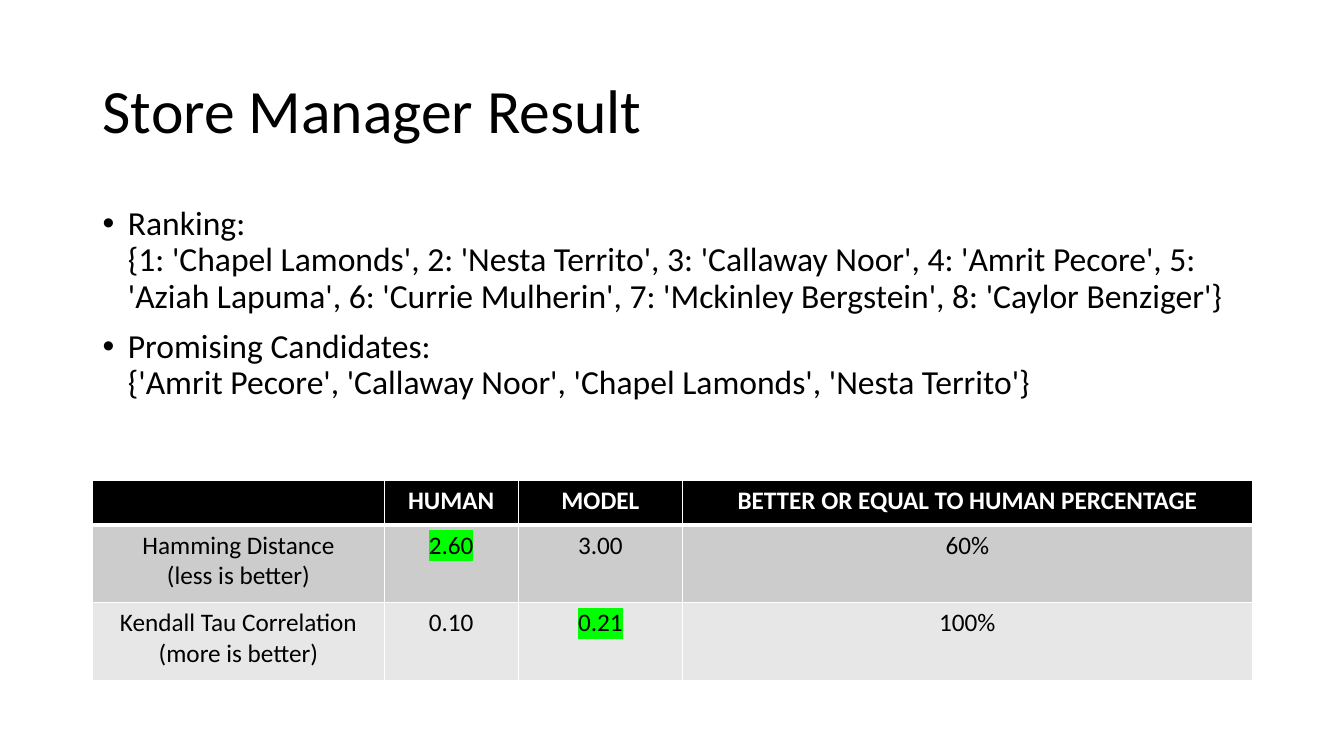
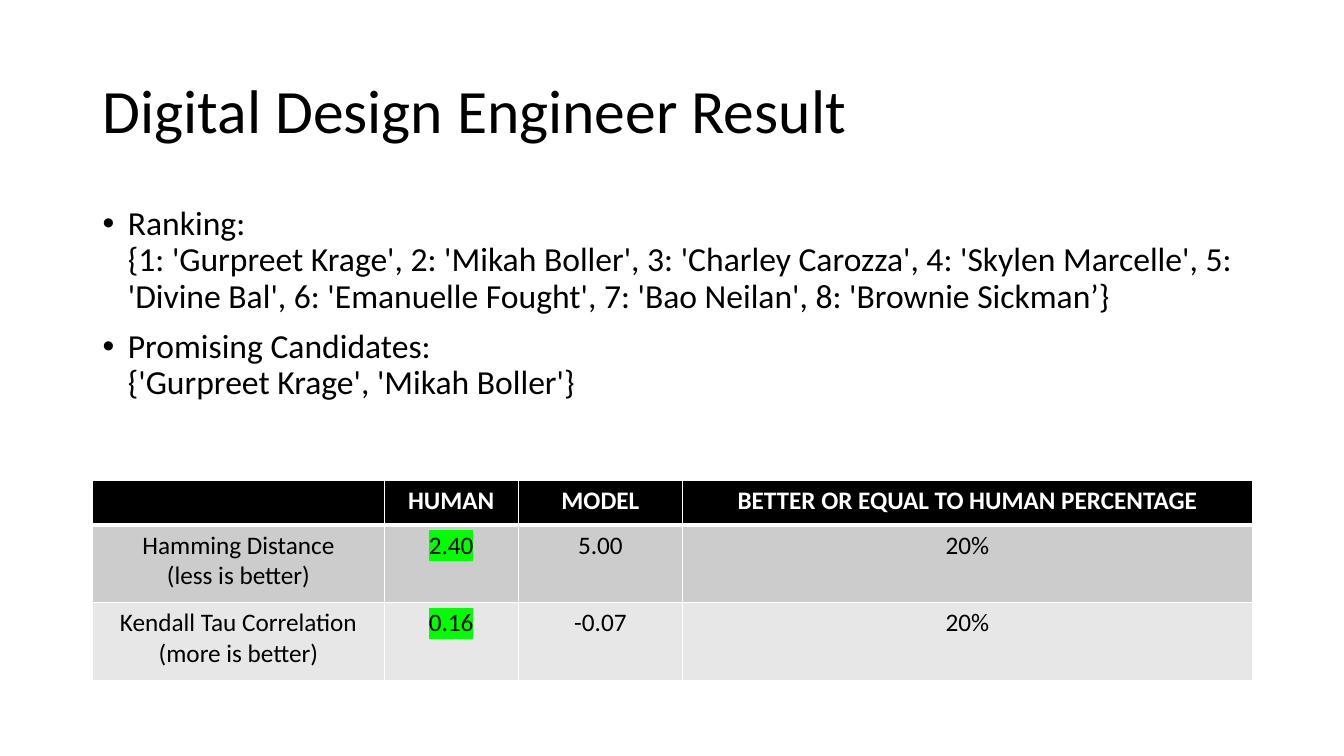
from lxml import etree
from pptx import Presentation
from pptx.dml.color import RGBColor
from pptx.enum.text import MSO_ANCHOR, PP_ALIGN
from pptx.oxml.ns import qn
from pptx.util import Inches, Pt

COLORS = {
    "text": "000000",
    "header": "000000",
    "header_text": "FFFFFF",
    "border": "FFFFFF",
    "bands": ["CCCCCC", "E7E7E7"],
    "best": "00FF00",
}
FONT = "Calibri"

# Regions: left, top, width, height in inches
TITLE_BOX = (0.92, 0.4, 11.5, 1.45)
BODY_BOX = (0.92, 2, 11.5, 2.6)
TABLE_BOX = (0.92, 4.77, 11.5, 1.98)

COL_WIDTHS = [2.89, 1.33, 1.63, 5.65]
ROW_HEIGHTS = [0.44, 0.77, 0.77]
HEADERS = ["", "HUMAN", "MODEL", "BETTER OR EQUAL TO HUMAN PERCENTAGE"]
METRICS = ["Hamming Distance\n(less is better)", "Kendall Tau Correlation\n(more is better)"]

# Each score row: human, model, percentage, column of the better score
RESULTS = [
    {
        "title": "Store Manager Result",
        "ranking": "{1: 'Chapel Lamonds', 2: 'Nesta Territo', 3: 'Callaway Noor', "
                   "4: 'Amrit Pecore', 5: 'Aziah Lapuma', 6: 'Currie Mulherin', "
                   "7: 'Mckinley Bergstein', 8: 'Caylor Benziger'}",
        "promising": "{'Amrit Pecore', 'Callaway Noor', 'Chapel Lamonds', 'Nesta Territo'}",
        "scores": [("2.60", "3.00", "60%", 1), ("0.10", "0.21", "100%", 2)],
    },
    {
        "title": "Digital Design Engineer Result",
        "ranking": "{1: 'Gurpreet Krage', 2: 'Mikah Boller', 3: 'Charley Carozza', "
                   "4: 'Skylen Marcelle', 5: 'Divine Bal', 6: 'Emanuelle Fought', "
                   "7: 'Bao Neilan', 8: 'Brownie Sickman’}",
        "promising": "{'Gurpreet Krage', 'Mikah Boller'}",
        "scores": [("2.40", "5.00", "20%", 1), ("0.16", "-0.07", "20%", 1)],
    },
]


def rgb(value):
    return RGBColor.from_string(value)


def write(p, text, size, color, bold=False):
    """Fill a paragraph, turning newlines into line breaks."""
    for i, line in enumerate(text.split("\n")):
        if i:
            p.add_line_break()
        p.add_run().text = line
    p.font.name = FONT
    p.font.size = Pt(size)
    p.font.bold = bold
    p.font.color.rgb = rgb(color)


def add_text_frame(slide, box, anchor):
    tf = slide.shapes.add_textbox(*map(Inches, box)).text_frame
    tf.word_wrap = True
    tf.vertical_anchor = anchor
    return tf


def add_title(slide, box, text):
    p = add_text_frame(slide, box, MSO_ANCHOR.MIDDLE).paragraphs[0]
    p.line_spacing = 0.9
    write(p, text, 44, COLORS["text"])


def add_bullets(slide, box, items):
    tf = add_text_frame(slide, box, MSO_ANCHOR.TOP)
    for i, item in enumerate(items):
        p = tf.add_paragraph() if i else tf.paragraphs[0]
        p.line_spacing = 0.9
        p.space_before = Pt(10)
        write(p, item, 24, COLORS["text"])
        # Hanging bullet, placed ahead of the font defaults
        pPr = p._p.get_or_add_pPr()
        pPr.set("marL", str(Inches(0.25)))
        pPr.set("indent", str(-Inches(0.25)))
        defaults = pPr.find(qn("a:defRPr"))
        for tag, key, value in (("a:buFont", "typeface", "Arial"), ("a:buChar", "char", "•")):
            bullet = etree.Element(qn(tag))
            bullet.set(key, value)
            defaults.addprevious(bullet)


def set_borders(cell, top, bottom):
    tcPr = cell._tc.get_or_add_tcPr()
    for side, width in (("L", 1), ("R", 1), ("T", top), ("B", bottom)):
        ln = etree.SubElement(tcPr, qn(f"a:ln{side}"), w=str(Pt(width)))
        fill = etree.SubElement(ln, qn("a:solidFill"))
        etree.SubElement(fill, qn("a:srgbClr"), val=COLORS["border"])


def highlight(r):
    mark = etree.SubElement(r._r.get_or_add_rPr(), qn("a:highlight"))
    etree.SubElement(mark, qn("a:srgbClr"), val=COLORS["best"])


def add_score_table(slide, box, scores):
    rows = [HEADERS] + [[name, *score[:3]] for name, score in zip(METRICS, scores)]
    table = slide.shapes.add_table(len(rows), len(HEADERS), *map(Inches, box)).table
    for col, width in zip(table.columns, COL_WIDTHS):
        col.width = Inches(width)
    for row, height in zip(table.rows, ROW_HEIGHTS):
        row.height = Inches(height)

    for i, values in enumerate(rows):
        is_header = i == 0
        fill = COLORS["header"] if is_header else COLORS["bands"][i - 1]
        color = COLORS["header_text"] if is_header else COLORS["text"]
        for j, value in enumerate(values):
            cell = table.cell(i, j)
            # A thick rule separates the header from the scores
            set_borders(cell, top=3 if i == 1 else 1, bottom=3 if is_header else 1)
            cell.fill.solid()
            cell.fill.fore_color.rgb = rgb(fill)
            p = cell.text_frame.paragraphs[0]
            p.alignment = PP_ALIGN.CENTER
            if value:
                write(p, value, 18, color, bold=is_header)
            if not is_header and j == scores[i - 1][3]:
                highlight(p.runs[0])


def add_result_slide(prs, result):
    slide = prs.slides.add_slide(prs.slide_layouts[6])
    add_title(slide, TITLE_BOX, result["title"])
    add_bullets(slide, BODY_BOX, [
        f"Ranking:\n{result['ranking']}",
        f"Promising Candidates:\n{result['promising']}",
    ])
    add_score_table(slide, TABLE_BOX, result["scores"])


def main():
    prs = Presentation()
    prs.slide_width = Inches(13.33)
    prs.slide_height = Inches(7.5)
    for result in RESULTS:
        add_result_slide(prs, result)
    prs.save("out.pptx")


if __name__ == "__main__":
    main()
